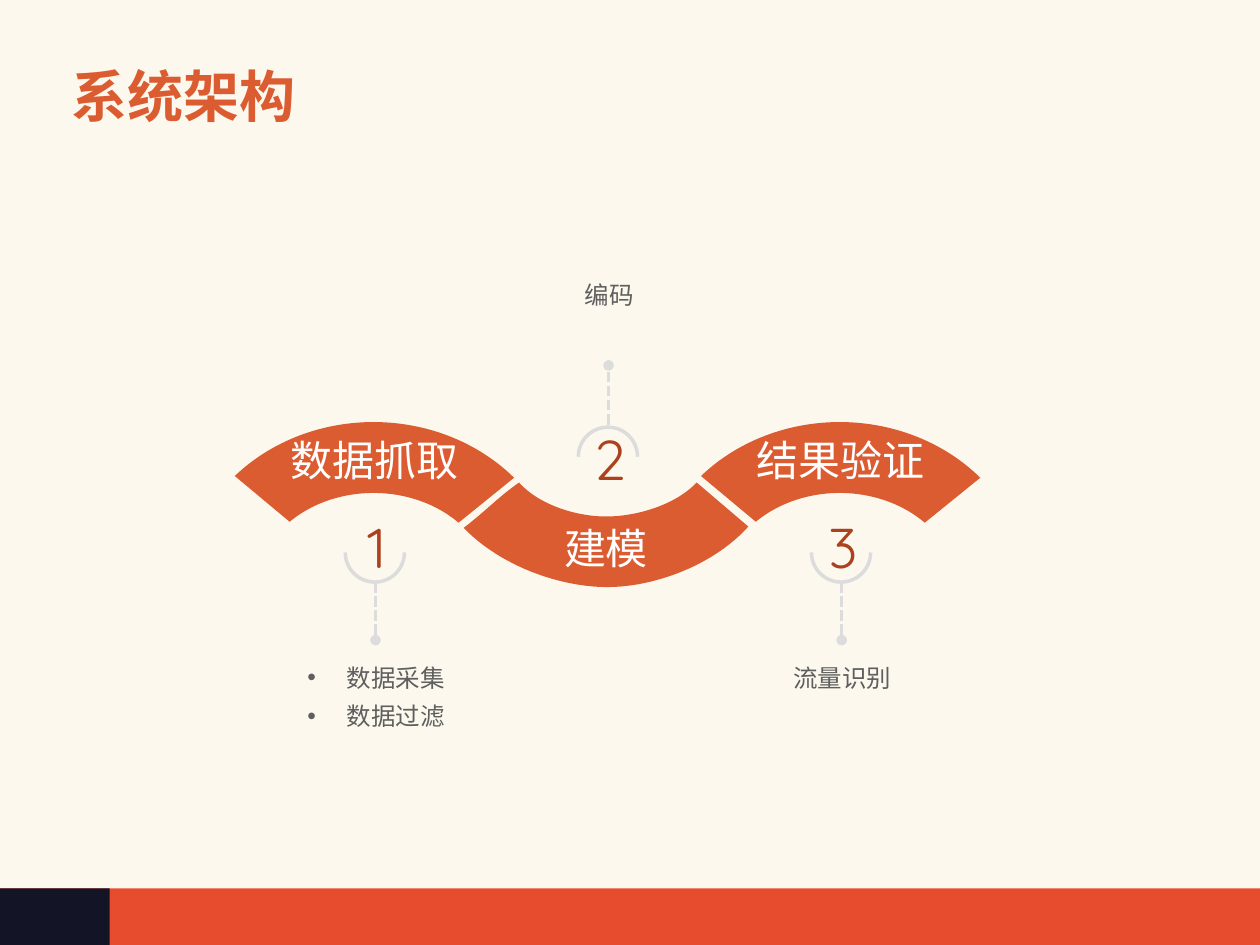
from dataclasses import dataclass

from lxml import etree
from pptx import Presentation
from pptx import util as u
from pptx.dml.color import RGBColor
from pptx.enum import dml, shapes, text
from pptx.oxml.ns import qn


@dataclass(frozen=True)
class Theme:
    paper: str = "FCF8ED"
    footer: str = "E74C2E"
    footer_dark: str = "131426"
    accent: str = "DC5C31"
    number: str = "AC411D"
    marker: str = "DCDCDC"
    body: str = "5F5F5F"
    white: str = "FFFFFF"
    cjk_font: str = "Noto Sans CJK SC"
    number_font: str = "Quicksand"
    title_size: int = 32
    number_size: int = 32
    segment_size: int = 24
    label_size: int = 14
    line_width: int = 2


def bezier(start, control_1, control_2, end, steps=24):
    """Points along a cubic curve, without its start."""
    for step in range(1, steps + 1):
        t = step / steps
        weights = ((1 - t) ** 3, 3 * t * (1 - t) ** 2, 3 * t * t * (1 - t), t ** 3)
        corners = (start, control_1, control_2, end)
        yield tuple(sum(w * c[axis] for w, c in zip(weights, corners)) for axis in (0, 1))


class SlideBuilder:
    def __init__(self, slide, theme):
        self.slide = slide
        self.theme = theme
        slide.background.fill.solid()
        slide.background.fill.fore_color.rgb = RGBColor.from_string(theme.paper)

    def _fill(self, shape, color):
        shape.shadow.inherit = False
        shape.fill.solid()
        shape.fill.fore_color.rgb = RGBColor.from_string(color)
        shape.line.fill.background()

    def _stroke(self, line):
        line.color.rgb = RGBColor.from_string(self.theme.marker)
        line.width = u.Pt(self.theme.line_width)

    def _write(self, shape, lines, size, color, font, align=text.PP_ALIGN.CENTER,
               spacing=1.0, bold=False, bullets=False):
        frame = shape.text_frame
        frame.word_wrap = True
        frame.text = "\n".join(lines)
        for paragraph in frame.paragraphs:
            paragraph.alignment = align
            paragraph.line_spacing = spacing
            paragraph.font.size = u.Pt(size)
            paragraph.font.bold = bold
            paragraph.font.name = font
            paragraph.font.color.rgb = RGBColor.from_string(color)
            properties = paragraph._p.pPr
            defaults = properties.find(qn("a:defRPr"))
            etree.SubElement(defaults, qn("a:ea")).set("typeface", font)
            if bullets:
                indent = u.Inches(0.31)
                properties.set("marL", str(indent))
                properties.set("indent", str(-indent))
                bullet_font = etree.Element(qn("a:buFont"), typeface="Arial")
                bullet = etree.Element(qn("a:buChar"), char="•")
                defaults.addprevious(bullet_font)
                defaults.addprevious(bullet)
        return frame

    def _segment_text(self, shape, caption, top=0, bottom=0):
        theme = self.theme
        frame = self._write(shape, [caption], theme.segment_size, theme.white, theme.cjk_font)
        frame.vertical_anchor = text.MSO_ANCHOR.MIDDLE
        frame.margin_left = frame.margin_right = 0
        frame.margin_top, frame.margin_bottom = u.Inches(top), u.Inches(bottom)

    def bar(self, left, top, width, height, color):
        shape = self.slide.shapes.add_shape(
            shapes.MSO_SHAPE.RECTANGLE, *map(u.Inches, (left, top, width, height)))
        self._fill(shape, color)

    def textbox(self, left, top, width, height, lines, size, color, font,
                anchor=text.MSO_ANCHOR.TOP, grow=True, **style):
        box = self.slide.shapes.add_textbox(*map(u.Inches, (left, top, width, height)))
        frame = self._write(box, lines, size, color, font, **style)
        frame.vertical_anchor = anchor
        if grow:
            frame.auto_size = text.MSO_AUTO_SIZE.SHAPE_TO_FIT_TEXT

    def arch(self, center, caption):
        shape = self.slide.shapes.add_shape(
            shapes.MSO_SHAPE.BLOCK_ARC,
            *map(u.Inches, (center - 1.52, 3.35, 3.01, 2.69)))
        for index, value in enumerate((131.867, 192.598, 0.209)):
            shape.adjustments[index] = value
        self._fill(shape, self.theme.accent)
        self._segment_text(shape, caption, bottom=0.2)

    def trough(self, caption):
        outline = [(5.53, 3.83), (5.94, 4.18)]
        curves = [
            ((5.66, 4.49), (5.19, 4.66), (4.82, 4.66)),
            ((4.44, 4.66), (3.97, 4.49), (3.68, 4.19)),
            ((3.84, 4.07), (3.95, 3.95), (4.12, 3.83)),
            ((4.28, 4.01), (4.58, 4.10), (4.81, 4.10)),
            ((5.05, 4.10), (5.36, 4.01), (5.53, 3.83)),
        ]
        for curve in curves:
            outline.extend(bezier(outline[-1], *curve))
        points = [(u.Inches(x), u.Inches(y)) for x, y in outline]
        builder = self.slide.shapes.build_freeform(*points[0])
        builder.add_line_segments(points[1:], close=True)
        shape = builder.convert_to_shape()
        self._fill(shape, self.theme.accent)
        self._segment_text(shape, caption, top=0.2)

    def marker(self, center, number, below):
        theme = self.theme
        # Half circle around the number
        arc_top, stem_start, stem_end, number_top = (
            (4.15, 4.62, 5.08, 4.12) if below else (3.39, 3.37, 2.90, 3.42))
        arc = self.slide.shapes.add_shape(
            shapes.MSO_SHAPE.ARC, *map(u.Inches, (center - 0.24, arc_top, 0.47, 0.47)))
        arc.adjustments[0], arc.adjustments[1] = (0, 108) if below else (108, 0)
        arc.shadow.inherit = False
        arc.fill.background()
        self._stroke(arc.line)
        # Dashed stem with a round end
        stem = self.slide.shapes.add_connector(
            shapes.MSO_CONNECTOR.STRAIGHT,
            *map(u.Inches, (center, stem_start, center, stem_end)))
        self._stroke(stem.line)
        stem.line.dash_style = dml.MSO_LINE.SQUARE_DOT
        etree.SubElement(stem.line._get_or_add_ln(), qn("a:tailEnd")).set("type", "oval")
        etree.SubElement(stem._element.spPr, qn("a:effectLst"))
        self.textbox(center - 0.34, number_top, 0.7, 0.53, [number], theme.number_size,
                     theme.number, theme.number_font, spacing=0.8)

    def label(self, center, lines, below):
        theme = self.theme
        self.textbox(center - 1.3, 5.14 if below else 2.1, 2.61, 0.36 * len(lines), lines,
                     theme.label_size, theme.body, theme.cjk_font, spacing=1.3,
                     bullets=len(lines) > 1)


presentation = Presentation()
presentation.slide_width, presentation.slide_height = u.Inches(10), u.Inches(7.5)
theme = Theme()
page = SlideBuilder(presentation.slides.add_slide(presentation.slide_layouts[6]), theme)

# Footer band
page.bar(0, 7.05, 10, 0.46, theme.footer)
page.bar(0, 7.05, 0.87, 0.46, theme.footer_dark)

# Title
page.textbox(0.47, 0.37, 9.07, 0.71, ["系统架构"], theme.title_size, theme.accent,
             theme.cjk_font, anchor=text.MSO_ANCHOR.BOTTOM, grow=False,
             align=text.PP_ALIGN.LEFT, spacing=0.9, bold=True)

# Wave of steps: arches carry their notes below, the trough above
steps = [
    ("数据抓取", ["数据采集", "数据过滤"]),
    ("建模", ["编码"]),
    ("结果验证", ["流量识别"]),
]
for index, (caption, notes) in enumerate(steps):
    center = 2.98 + 1.85 * index
    below = index % 2 == 0
    if below:
        page.arch(center, caption)
    else:
        page.trough(caption)
    page.marker(center, str(index + 1), below)
    page.label(center, notes, below)

presentation.save("out.pptx")
